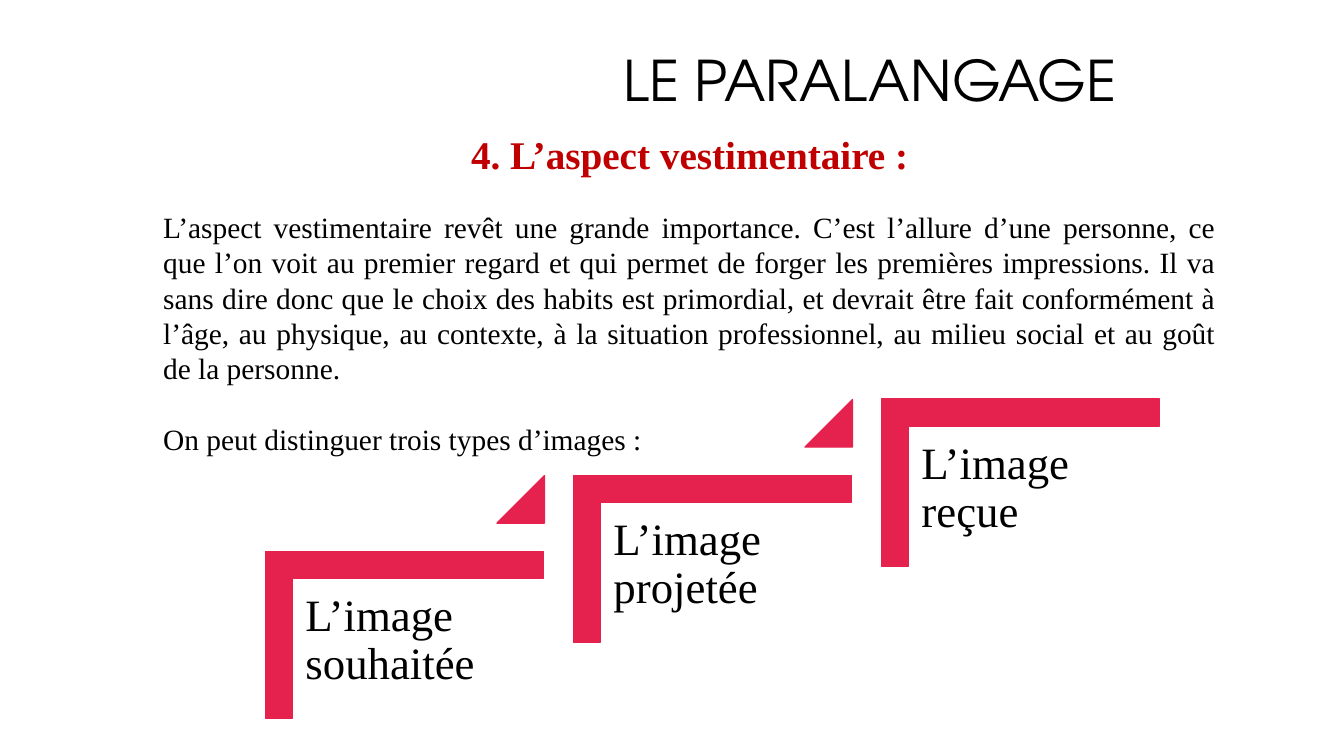
from pptx import Presentation
from pptx.dml.color import RGBColor
from pptx.enum.shapes import MSO_SHAPE
from pptx.enum.text import MSO_ANCHOR, PP_ALIGN
from pptx.util import Inches, Pt

TITLE = "LE PARALANGAGE"
HEADING = "4. L’aspect vestimentaire :"
BODY = (
    "L’aspect vestimentaire revêt une grande importance. C’est l’allure d’une personne, "
    "ce que l’on voit au premier regard et qui permet de forger les premières impressions. "
    "Il va sans dire donc que le choix des habits est primordial, et devrait être fait "
    "conformément à l’âge, au physique, au contexte, à la situation professionnel, "
    "au milieu social et au goût de la personne."
)
LEAD_IN = "On peut distinguer trois types d’images :"
IMAGES = ["L’image souhaitée", "L’image projetée", "L’image reçue"]

SERIF = "Times New Roman"
BLACK, RED, PINK = "000000", "C00000", "E5224E"
STEP_LEFT, STEP_TOP = 2.63, 5.47
STEP_RIGHT, STEP_UP = 3.055, 0.755
CORNER_WIDTH, CORNER_HEIGHT = 1.66, 2.76
TRIANGLE_SIZE = 0.47


def color(value):
    return RGBColor.from_string(value)


def add_text_box(page, left, top, width, height, inset=None):
    box = page.shapes.add_textbox(Inches(left), Inches(top), Inches(width), Inches(height))
    frame = box.text_frame
    frame.word_wrap = True
    if inset is not None:
        frame.margin_left = frame.margin_right = Inches(inset)
        frame.margin_top = frame.margin_bottom = Inches(inset)
    return frame


def write(para, text, size, font=SERIF, ink=BLACK, bold=False, align=PP_ALIGN.LEFT,
          line_spacing=None, before=0):
    para.text = text
    para.alignment = align
    para.line_spacing = line_spacing
    para.space_before = Pt(before)
    para.font.name = font
    para.font.size = Pt(size)
    para.font.bold = bold
    para.font.color.rgb = color(ink)


def add_pink_shape(page, kind, left, top, width, height, adjustments):
    shape = page.shapes.add_shape(kind, Inches(left), Inches(top), Inches(width), Inches(height))
    shape.shadow.inherit = False
    shape.fill.solid()
    shape.fill.fore_color.rgb = color(PINK)
    shape.line.color.rgb = color(PINK)
    shape.line.width = Pt(1)
    for index, value in enumerate(adjustments):
        shape.adjustments[index] = value
    return shape


def add_step(page, index, text):
    left = STEP_LEFT + index * STEP_RIGHT
    top = STEP_TOP - index * STEP_UP
    shift = (CORNER_HEIGHT - CORNER_WIDTH) / 2
    corner = add_pink_shape(page, MSO_SHAPE.CORNER, left + shift, top - shift,
                            CORNER_WIDTH, CORNER_HEIGHT, [0.161, 0.161])
    corner.rotation = 90
    frame = add_text_box(page, left + 0.27, top + 0.28, 2.5, 2.19, inset=0.13)
    write(frame.paragraphs[0], text, 32, line_spacing=0.9)
    if index < len(IMAGES) - 1:
        add_pink_shape(page, MSO_SHAPE.ISOSCELES_TRIANGLE,
                       left + CORNER_HEIGHT - TRIANGLE_SIZE + 0.01, top - 0.75,
                       TRIANGLE_SIZE, TRIANGLE_SIZE, [1])


def main():
    deck = Presentation()
    deck.slide_width, deck.slide_height = Inches(13.33), Inches(7.5)
    page = deck.slides.add_slide(deck.slide_layouts[6])

    title = add_text_box(page, 3.92, 0.12, 9.42, 1.41)
    title.vertical_anchor = MSO_ANCHOR.MIDDLE
    write(title.paragraphs[0], TITLE, 40, font="TeX Gyre Adventor",
          align=PP_ALIGN.CENTER, line_spacing=0.9)

    body = add_text_box(page, 1.52, 1.24, 10.64, 5.45)
    write(body.paragraphs[0], HEADING, 28, ink=RED, bold=True, align=PP_ALIGN.CENTER)
    write(body.add_paragraph(), BODY, 21, align=PP_ALIGN.JUSTIFY, before=23)
    write(body.add_paragraph(), LEAD_IN, 21, align=PP_ALIGN.JUSTIFY, before=25)

    for index, text in enumerate(IMAGES):
        add_step(page, index, text)

    deck.save("out.pptx")


if __name__ == "__main__":
    main()
